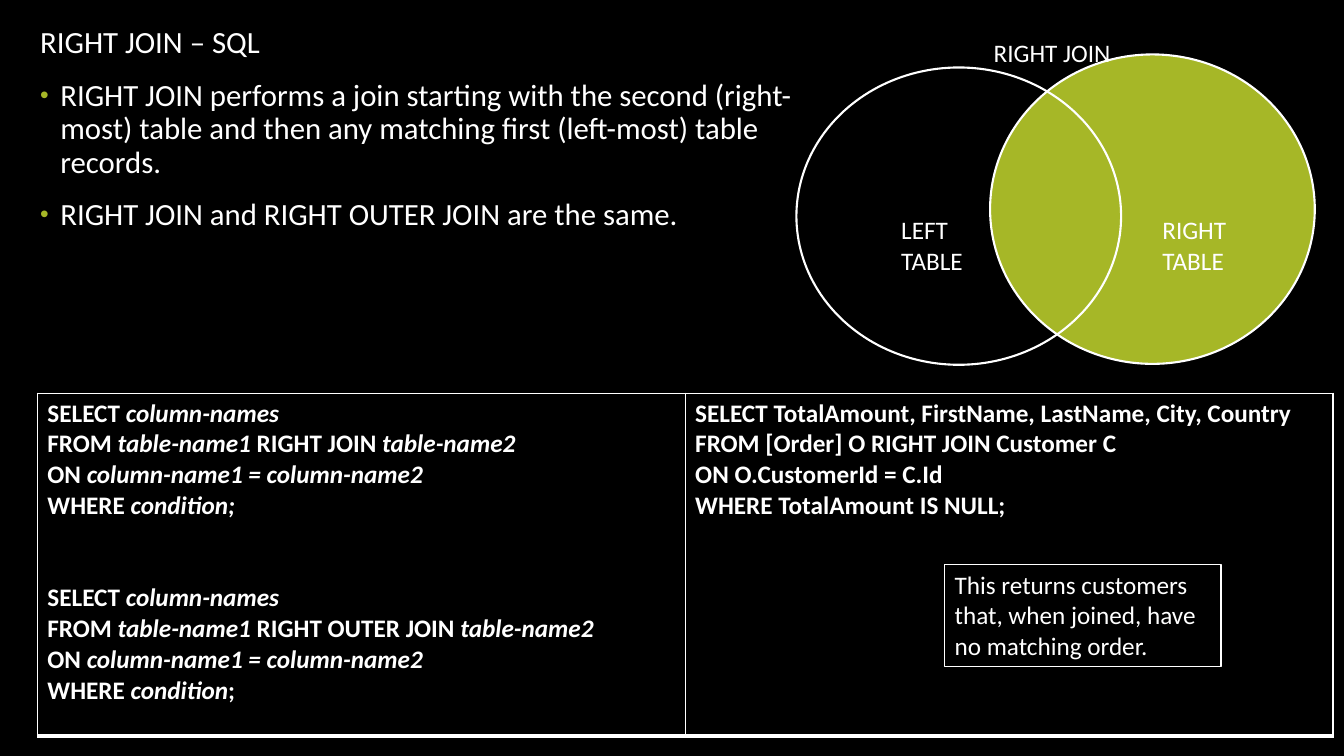
from dataclasses import dataclass

from lxml.etree import SubElement
from pptx import Presentation
from pptx.dml.color import RGBColor
from pptx.enum.shapes import MSO_SHAPE as Preset
from pptx.enum.text import MSO_ANCHOR as Anchor, PP_ALIGN as Align
from pptx.oxml.ns import qn
from pptx.util import Inches, Pt

COLORS = {"paper": "000000", "ink": "FFFFFF", "accent": "A6B727"}
FONT = "Calibri"
BODY_SIZE, LABEL_SIZE = 22, 18
BLOCK_GAP = 44

deck = Presentation()
deck.slide_width, deck.slide_height = Inches(13.33), Inches(7.5)


@dataclass(frozen=True)
class Area:
    left: float
    top: float
    width: float
    height: float

    def place(self) -> tuple[int, int, int, int]:
        across, down = deck.slide_width / 100, deck.slide_height / 100
        return (round(self.left * across), round(self.top * down),
                round(self.width * across), round(self.height * down))


@dataclass(frozen=True)
class Panel:
    area: Area
    preset: Preset
    line_width: float
    fill: str = ""
    text: str = ""


@dataclass(frozen=True)
class Label:
    area: Area
    text: str
    align: Align = Align.LEFT


@dataclass(frozen=True)
class Point:
    text: str
    margin: float
    indent: float
    bullet: str = ""


@dataclass(frozen=True)
class CodeLine:
    words: tuple[str, ...]
    space_before: int = 0


BODY = Area(1.88, 2.93, 62.04, 37.87)
POINTS = (
    Point("RIGHT JOIN – SQL", 0.05, 0),
    Point("RIGHT JOIN performs a join starting with the second (right-most) table "
          "and then any matching first (left-most) table records.", 0.25, -0.2, "•"),
    Point("RIGHT JOIN and RIGHT OUTER JOIN are the same.", 0.25, -0.2, "•"),
)
CIRCLES = (
    Panel(Area(73.67, 7.2, 24.16, 40.93), Preset.FLOWCHART_CONNECTOR, 1.5, "accent"),
    Panel(Area(59.26, 8.93, 24.16, 39.33), Preset.FLOWCHART_CONNECTOR, 1.5),
)
LABELS = (
    Label(Area(85.75, 27.73, 7.43, 9.47), "RIGHT TABLE"),
    Label(Area(66.32, 27.73, 7.43, 9.47), "LEFT TABLE"),
    Label(Area(66.32, 4.27, 23.93, 5.33), "RIGHT JOIN", Align.CENTER),
)
NOTE = Panel(Area(70.29, 74.67, 20.56, 13.47), Preset.RECTANGLE, 0.75,
             text="This returns customers that, when joined, have no matching order.")
TABLE = Area(2.78, 52, 96.4, 45.33)
BORDERS = {"lnL": 1, "lnR": 1, "lnT": 1, "lnB": 3}


def syntax(join: str, ending: tuple[str, ...], gap: int = 0) -> tuple[CodeLine, ...]:
    return (
        CodeLine(("SELECT ", "column-names"), gap),
        CodeLine(("FROM ", "table-name1", f" {join} ", "table-name2")),
        CodeLine(("ON ", "column-name1 = column-name2")),
        CodeLine(("WHERE ", *ending)),
    )


CODE_CELLS = (
    syntax("RIGHT JOIN", ("condition;",))
    + syntax("RIGHT OUTER JOIN", ("condition", ";"), BLOCK_GAP),
    (
        CodeLine(("SELECT TotalAmount, FirstName, LastName, City, Country",)),
        CodeLine(("FROM [Order] O RIGHT JOIN Customer C",)),
        CodeLine(("ON O.CustomerId = C.Id",)),
        CodeLine(("WHERE TotalAmount IS NULL;",)),
    ),
)


def color(name: str) -> RGBColor:
    return RGBColor.from_string(COLORS[name])


def add_span(para, text: str, size: int, bold: bool = False, italic: bool = False) -> None:
    span = para.add_run()
    span.text = text
    span.font.name, span.font.size = FONT, Pt(size)
    span.font.bold, span.font.italic = bold, italic
    span.font.color.rgb = color("ink")


def next_para(frame, index: int):
    return frame.add_paragraph() if index else frame.paragraphs[0]


def add_points(page) -> None:
    frame = page.shapes.add_textbox(*BODY.place()).text_frame
    frame.word_wrap = True
    for index, point in enumerate(POINTS):
        para = next_para(frame, index)
        para.line_spacing, para.space_before = 0.9, Pt(14)
        add_span(para, point.text, BODY_SIZE)
        props = para._p.get_or_add_pPr()
        props.set("marL", str(Inches(point.margin)))
        props.set("indent", str(Inches(point.indent)))
        if point.bullet:
            tint = SubElement(props, qn("a:buClr"))
            SubElement(tint, qn("a:srgbClr"), val=COLORS["accent"])
            SubElement(props, qn("a:buSzPct"), val="80000")
            SubElement(props, qn("a:buFont"), typeface="Arial")
            SubElement(props, qn("a:buChar"), char=point.bullet)


def add_panel(page, panel: Panel) -> None:
    shape = page.shapes.add_shape(panel.preset, *panel.area.place())
    shape.shadow.inherit = False
    shape.line.color.rgb, shape.line.width = color("ink"), Pt(panel.line_width)
    if panel.fill:
        shape.fill.solid()
        shape.fill.fore_color.rgb = color(panel.fill)
    else:
        shape.fill.background()
    if panel.text:
        frame = shape.text_frame
        frame.word_wrap, frame.vertical_anchor = True, Anchor.TOP
        frame.paragraphs[0].alignment = Align.LEFT
        add_span(frame.paragraphs[0], panel.text, LABEL_SIZE)


def add_label(page, label: Label) -> None:
    frame = page.shapes.add_textbox(*label.area.place()).text_frame
    frame.word_wrap = True
    frame.paragraphs[0].alignment = label.align
    add_span(frame.paragraphs[0], label.text, LABEL_SIZE)


def style_cell(cell) -> None:
    props = cell._tc.get_or_add_tcPr()
    for side, width in BORDERS.items():
        border = SubElement(props, qn(f"a:{side}"), w=str(Pt(width)))
        paint = SubElement(border, qn("a:solidFill"))
        SubElement(paint, qn("a:srgbClr"), val=COLORS["ink"])
    cell.fill.solid()
    cell.fill.fore_color.rgb = color("paper")


def add_code_table(page) -> None:
    table = page.shapes.add_table(1, len(CODE_CELLS), *TABLE.place()).table
    for cell, lines in zip(table.iter_cells(), CODE_CELLS):
        style_cell(cell)
        for index, line in enumerate(lines):
            para = next_para(cell.text_frame, index)
            para.space_before = Pt(line.space_before)
            for position, word in enumerate(line.words):
                add_span(para, word, LABEL_SIZE, bold=True, italic=position % 2 == 1)


def main() -> None:
    page = deck.slides.add_slide(deck.slide_layouts[6])
    page.background.fill.solid()
    page.background.fill.fore_color.rgb = color("paper")
    add_points(page)
    for circle in CIRCLES:
        add_panel(page, circle)
    for label in LABELS:
        add_label(page, label)
    add_code_table(page)
    add_panel(page, NOTE)
    deck.save("out.pptx")


if __name__ == "__main__":
    main()
